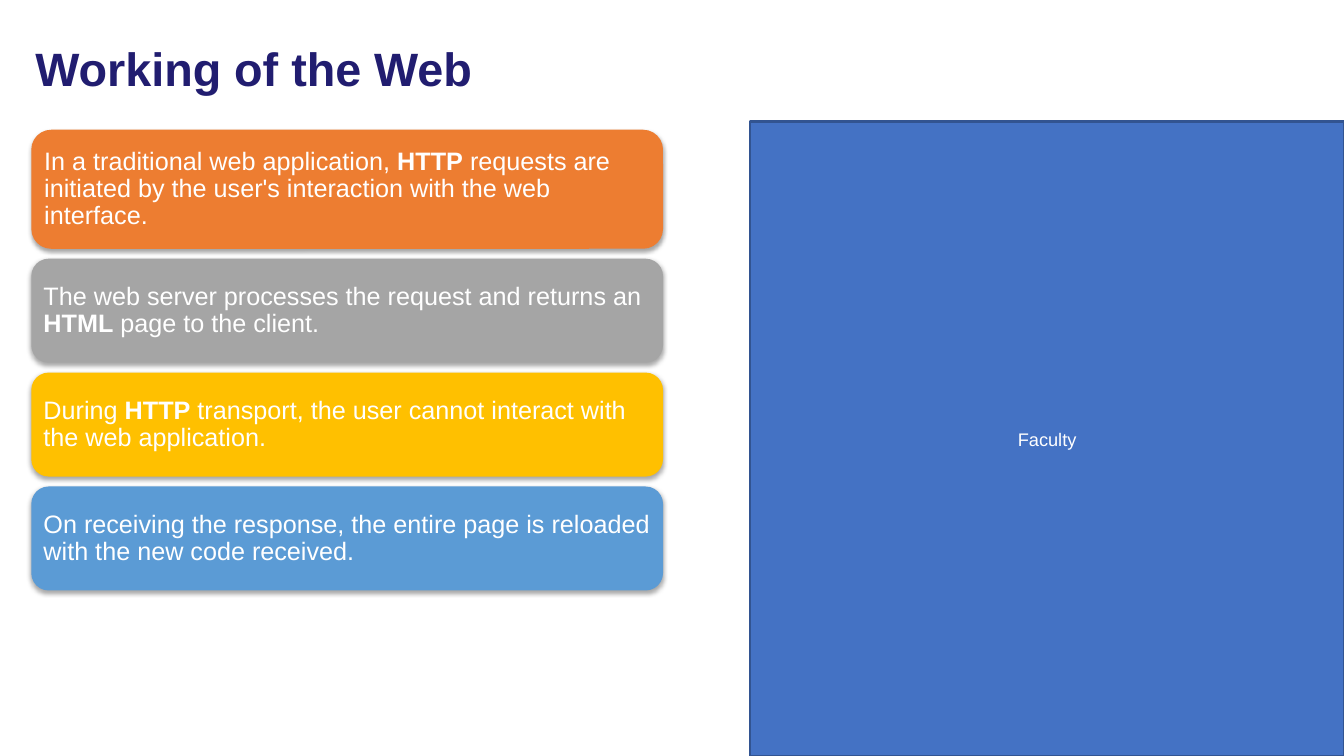
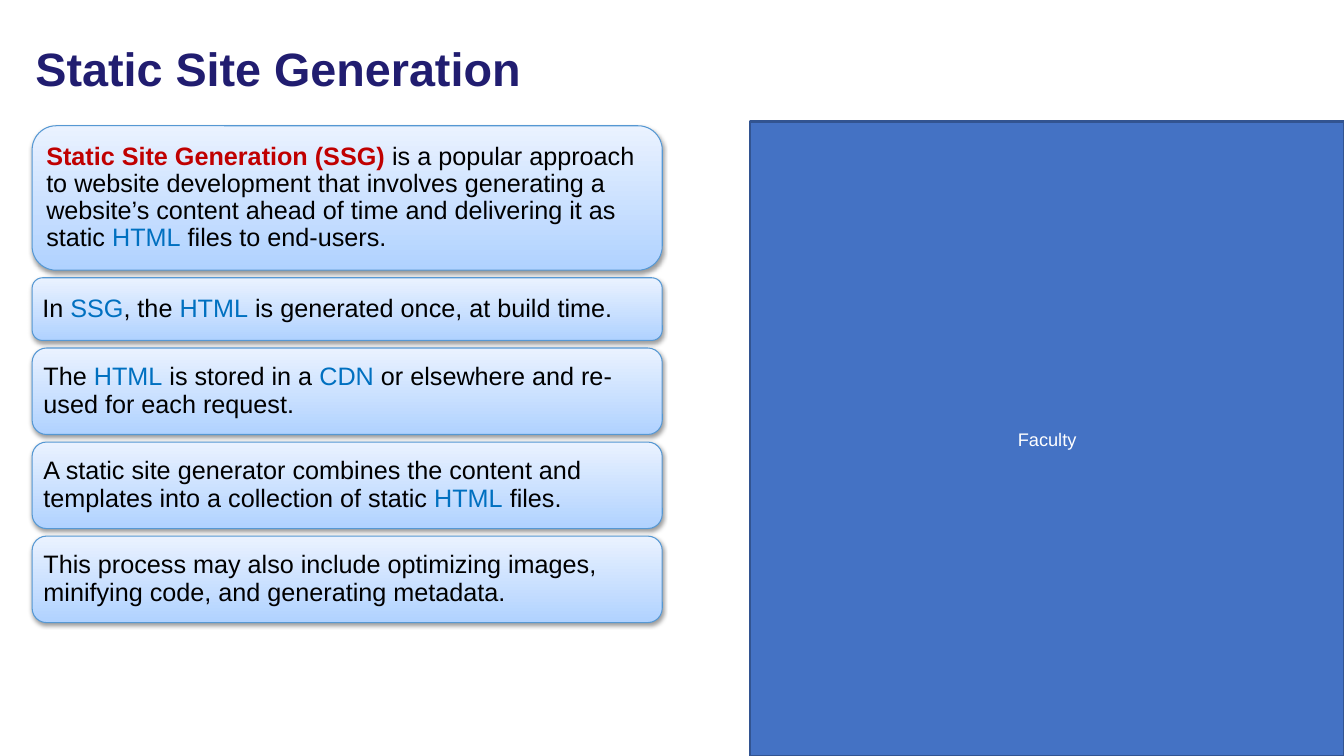
"""Build two slides about how the web works and static site generation."""
from lxml import etree
from pptx import Presentation
from pptx.dml.color import RGBColor
from pptx.enum.shapes import MSO_SHAPE
from pptx.enum.text import MSO_ANCHOR, MSO_AUTO_SIZE, PP_ALIGN
from pptx.oxml.ns import qn
from pptx.util import Cm, Pt

FONT = "Arial"
WHITE = RGBColor(0xFF, 0xFF, 0xFF)
BLACK = RGBColor(0x00, 0x00, 0x00)
NAVY = RGBColor(0x21, 0x1D, 0x70)
PANEL_BLUE = RGBColor(0x44, 0x72, 0xC4)
PANEL_EDGE = RGBColor(0x32, 0x54, 0x91)
ORANGE = RGBColor(0xED, 0x7D, 0x31)
GREY = RGBColor(0xA5, 0xA5, 0xA5)
AMBER = RGBColor(0xFF, 0xC0, 0x00)
SKY = RGBColor(0x5B, 0x9B, 0xD5)
PALE_TOP = RGBColor(0xEA, 0xF2, 0xFF)
PALE_BOTTOM = RGBColor(0xB0, 0xD2, 0xFF)
CARD_EDGE = RGBColor(0x56, 0x98, 0xD3)
RED = RGBColor(0xC0, 0x00, 0x00)
TERM_BLUE = RGBColor(0x00, 0x70, 0xC0)


def style_run(run, size, colour, bold=False):
    run.font.name = FONT
    run.font.size = Pt(size)
    run.font.bold = bold
    run.font.color.rgb = colour


def add_soft_shadow(shape, distance, opacity):
    shape.shadow.inherit = False
    effects = shape.element.spPr.find(qn("a:effectLst"))
    shadow = etree.SubElement(
        effects, qn("a:outerShdw"), blurRad=str(Pt(3.1)), dist=str(Pt(distance)),
        dir="5400000", rotWithShape="0")
    colour = etree.SubElement(shadow, qn("a:srgbClr"), val=str(BLACK))
    etree.SubElement(colour, qn("a:alpha"), val=str(opacity * 1000))


TOPICS = [
    {
        "title": "Working of the Web",
        "left": 0.79, "top": 3.27, "width": 15.92, "gap": 0.25,
        "shadow": (1.8, 35),
        "text_colour": WHITE,
        "highlights": {"HTTP": (WHITE, True), "HTML": (WHITE, True)},
        "cards": [
            (3.0, ORANGE, ["In a traditional web application, ", "HTTP",
                           " requests are initiated by the user's interaction"
                           " with the web interface."]),
            (2.62, GREY, ["The web server processes the request and returns an ",
                          "HTML", " page to the client."]),
            (2.62, AMBER, ["During ", "HTTP", " transport, the user cannot interact"
                           " with the web application."]),
            (2.62, SKY, ["On receiving the response, the entire page is reloaded"
                         " with the new code received."]),
        ],
    },
    {
        "title": "Static Site Generation",
        "left": 0.81, "top": 3.17, "width": 15.88, "gap": 0.19,
        "shadow": (1.6, 38),
        "text_colour": BLACK,
        "highlights": {
            "Static Site Generation (SSG) ": (RED, True),
            "HTML": (TERM_BLUE, False),
            "SSG": (TERM_BLUE, False),
            "CDN": (TERM_BLUE, False),
        },
        "cards": [
            (3.64, None, ["Static Site Generation (SSG) ",
                          "is a popular approach to website development that involves"
                          " generating a website’s content ahead of time and"
                          " delivering it as static ", "HTML", " files to end-users."]),
            (1.58, None, ["In ", "SSG", ", the ", "HTML",
                          " is generated once, at build time."]),
            (2.18, None, ["The ", "HTML", " is stored in a ", "CDN",
                          " or elsewhere and re-used for each request."]),
            (2.18, None, ["A static site generator combines the content and templates"
                          " into a collection of static ", "HTML", " files."]),
            (2.18, None, ["This process may also include optimizing images,"
                          " minifying code, and generating metadata."]),
        ],
    },
]

deck = Presentation()
deck.slide_width = Cm(33.87)
deck.slide_height = Cm(19.05)
layout = deck.slide_layouts[5]
slides = [deck.slides.add_slide(layout) for topic in TOPICS]

faculty = slides[0].shapes.add_shape(
    MSO_SHAPE.RECTANGLE, Cm(18.9), Cm(3.07), Cm(14.98), Cm(15.98))
faculty.shadow.inherit = False
faculty.fill.solid()
faculty.fill.fore_color.rgb = PANEL_BLUE
faculty.line.color.rgb = PANEL_EDGE
faculty.line.width = Pt(2)
faculty.text_frame.text = "Faculty"
faculty.text_frame.vertical_anchor = MSO_ANCHOR.MIDDLE
faculty.text_frame.paragraphs[0].alignment = PP_ALIGN.CENTER
style_run(faculty.text_frame.paragraphs[0].runs[0], 13, WHITE)
layout.shapes.element.append(faculty.element)

for slide, topic in zip(slides, TOPICS):
    title = slide.shapes.title
    title.left, title.top, title.width, title.height = Cm(0.64), Cm(0.64), Cm(30), Cm(2.31)
    title.text_frame.text = topic["title"]
    title.text_frame.auto_size = MSO_AUTO_SIZE.NONE
    title.text_frame.vertical_anchor = MSO_ANCHOR.MIDDLE
    heading = title.text_frame.paragraphs[0]
    heading.alignment = PP_ALIGN.LEFT
    heading.line_spacing = 0.9
    style_run(heading.runs[0], 33.4, NAVY, True)

    top = topic["top"]
    for height, colour, pieces in topic["cards"]:
        card = slide.shapes.add_shape(
            MSO_SHAPE.ROUNDED_RECTANGLE, Cm(topic["left"]), Cm(top),
            Cm(topic["width"]), Cm(height))
        top += height + topic["gap"]
        if colour is None:
            card.fill.gradient()
            card.fill.gradient_angle = 90
            for stop, shade in zip(card.fill.gradient_stops, (PALE_BOTTOM, PALE_TOP)):
                stop.color.rgb = shade
            card.line.color.rgb = CARD_EDGE
            card.line.width = Pt(0.75)
        else:
            card.fill.solid()
            card.fill.fore_color.rgb = colour
            card.line.fill.background()
        add_soft_shadow(card, *topic["shadow"])

        frame = card.text_frame
        frame.word_wrap = True
        frame.vertical_anchor = MSO_ANCHOR.MIDDLE
        frame.margin_left = frame.margin_right = Cm(0.18)
        frame.margin_top = frame.margin_bottom = Cm(0.18)
        sentence = frame.paragraphs[0]
        sentence.alignment = PP_ALIGN.LEFT
        sentence.line_spacing = 0.9
        for piece in pieces:
            run = sentence.add_run()
            run.text = piece
            style_run(run, 18, *topic["highlights"].get(piece, (topic["text_colour"], False)))

deck.save("out.pptx")
